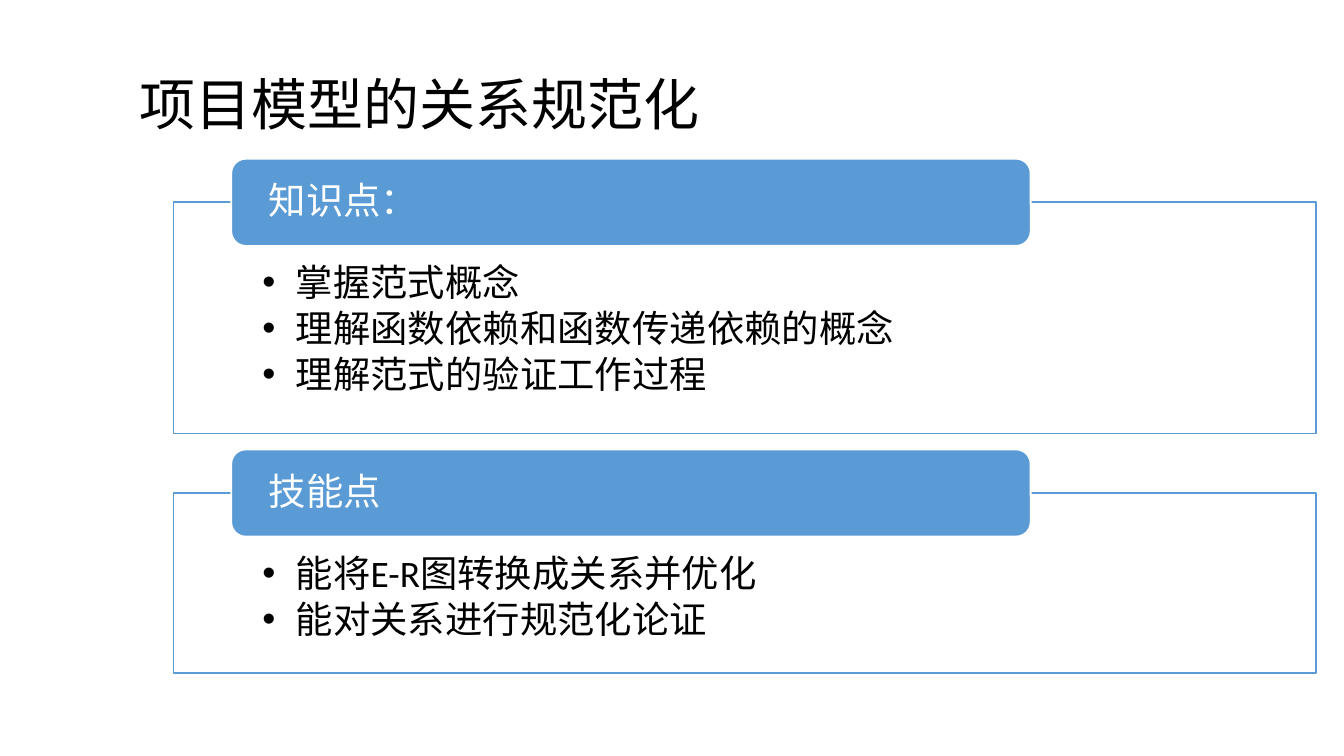
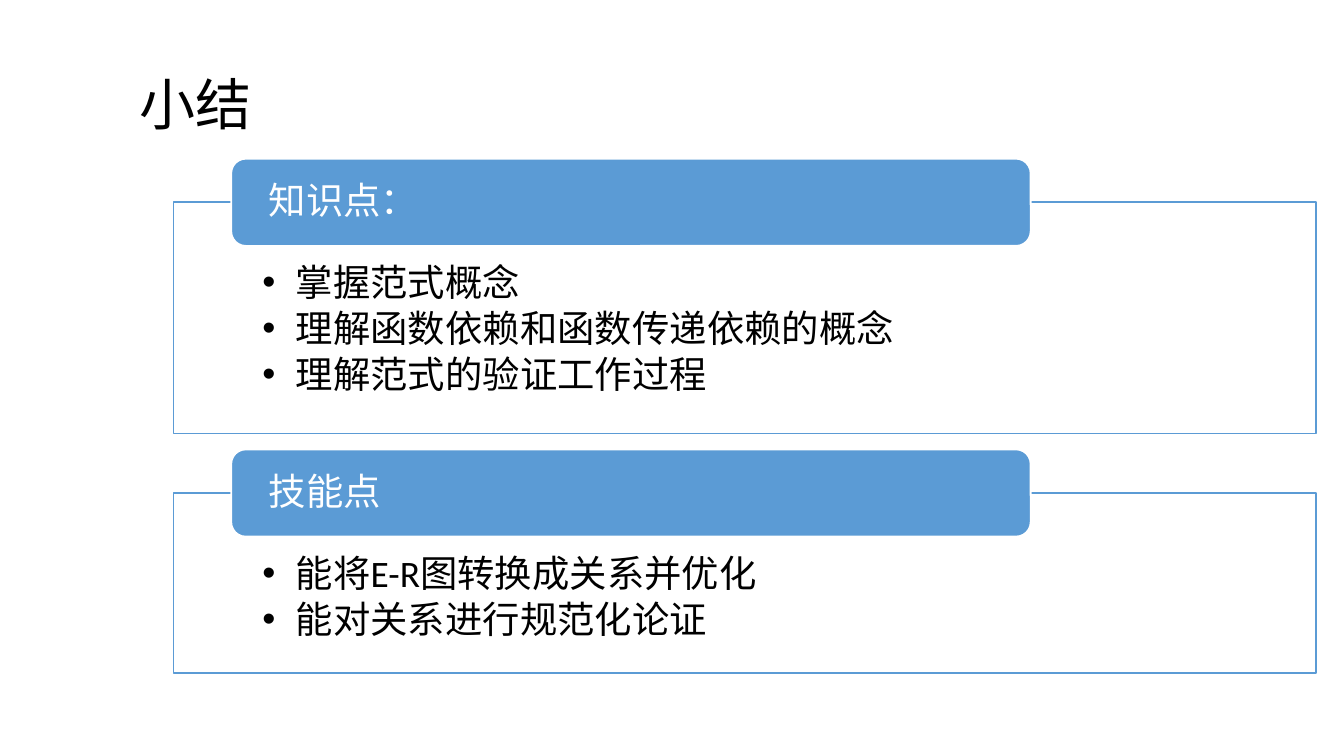
import lxml.etree
import pptx
import pptx.dml.color
import pptx.enum.shapes
import pptx.enum.text
import pptx.oxml.ns
import pptx.util

Cm = pptx.util.Cm
Pt = pptx.util.Pt
KIND = pptx.enum.shapes.MSO_SHAPE
ALIGN = pptx.enum.text.PP_ALIGN
ANCHOR = pptx.enum.text.MSO_ANCHOR

BLUE, WHITE, BLACK = "5B9BD5", "FFFFFF", "000000"
TITLES = ["项目模型的关系规范化", "小结"]
PANELS = [
    ("知识点：", ["掌握范式概念", "理解函数依赖和函数传递依赖的概念", "理解范式的验证工作过程"], 4.37),
    ("技能点", ["能将E-R图转换成关系并优化", "能对关系进行规范化论证"], 3.4),
]
TOP, GAP, TAB = 3.0, 0.3, 1.65


def color(code):
    return pptx.dml.color.RGBColor.from_string(code)


def child(node, tag, **attrs):
    return lxml.etree.SubElement(node, pptx.oxml.ns.qn(tag), attrs)


class Deck:
    """Holds the shared style and the current slide."""

    def __init__(self):
        self.prs = pptx.Presentation()
        self.prs.slide_width, self.prs.slide_height = Cm(25.4), Cm(14.29)
        self.slide = None

    def page(self, title):
        self.slide = self.prs.slides.add_slide(self.prs.slide_layouts[6])
        box = self.slide.shapes.add_textbox(Cm(2.39), Cm(1.14), Cm(21.9), Cm(1.78))
        font = "Noto Sans CJK SC"
        self.label(box, [title], 30, BLACK, (0.25, 0.13, 0.25, 0.13), font=font)
        for run in box.text_frame.paragraphs[0].runs:
            child(run.font._element, "a:ea", typeface=font)

    def label(self, shape, lines, size, tint, pads, after=0, font="Calibri", anchor=ANCHOR.MIDDLE):
        frame = shape.text_frame
        frame.text = "\n".join(lines)
        frame.word_wrap = True
        frame.vertical_anchor = anchor
        (frame.margin_left, frame.margin_top,
         frame.margin_right, frame.margin_bottom) = map(Cm, pads)
        for para in frame.paragraphs:
            para.alignment = ALIGN.LEFT
            para.line_spacing = 0.9
            para.space_after = Pt(after)
            for run in para.runs:
                run.font.name = font
                run.font.size = Pt(size)
                run.font.color.rgb = color(tint)

    def shape(self, kind, left, top, width, height, fill, line):
        shape = self.slide.shapes.add_shape(kind, Cm(left), Cm(top), Cm(width), Cm(height))
        shape.shadow.inherit = False
        shape.fill.solid()
        shape.fill.fore_color.rgb = color(fill)
        shape.line.color.rgb = color(line)
        shape.line.width = Pt(1)
        return shape

    def frame(self, top, height, points):
        box = self.shape(KIND.RECTANGLE, 3.28, top, 21.59, height, WHITE, BLUE)
        tint = box._element.spPr.find(".//" + pptx.oxml.ns.qn("a:srgbClr"))
        child(tint, "a:alpha", val="90000")
        self.label(box, points, 20, BLACK, (1.68, 1.17, 1.68, 0.41), 3, anchor=ANCHOR.TOP)
        for para in box.text_frame.paragraphs:
            para.level = 1
            props = para._p.get_or_add_pPr()
            props.set("marL", str(Cm(0.63)))
            props.set("indent", str(-Cm(0.63)))
            child(props, "a:buFont", typeface="Arial")
            child(props, "a:buChar", char="•")

    def tab(self, top, name):
        box = self.shape(KIND.ROUNDED_RECTANGLE, 4.37, top, 15.11, TAB, BLUE, WHITE)
        self.label(box, [name], 20, WHITE, (0.63, 0, 0.63, 0), 7)

    def panel(self, top, name, points, height):
        self.frame(top + TAB / 2, height, points)
        self.tab(top, name)
        return top + TAB / 2 + height + GAP


def main():
    deck = Deck()
    for title in TITLES:
        deck.page(title)
        top = TOP
        for name, points, height in PANELS:
            top = deck.panel(top, name, points, height)
    deck.prs.save("out.pptx")


if __name__ == "__main__":
    main()
